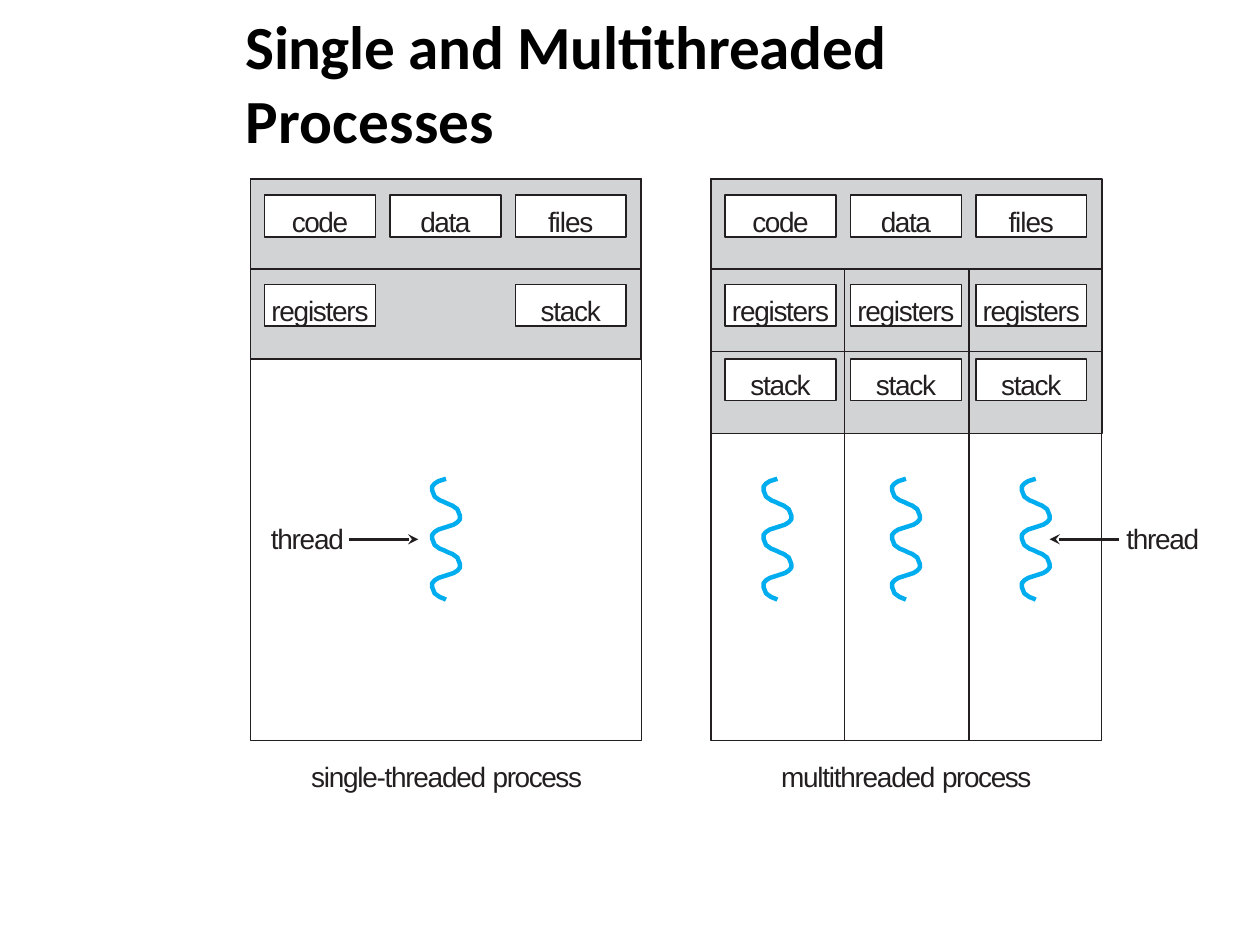
"""Build a slide comparing a single-threaded with a multithreaded process."""
import dataclasses
import typing

import lxml.etree
import pptx
import pptx.dml.color
import pptx.enum.shapes
import pptx.enum.text
import pptx.oxml.ns
import pptx.util

COLUMNS, ROWS = 100, 75
INK, GREY, WHITE, THREAD_BLUE = "231F20", "D1D3D4", "FFFFFF", "00AEEF"
PANEL_TOP, PANEL_WIDTH, PANEL_HEIGHT = 14.2, 31, 44.6
SHARED_BOTTOM, REGISTERS_BOTTOM = 21.35, 27.9
BOX_INSET, BOX_PITCH, BOX_WIDTH, BOX_HEIGHT = 1.1, 9.95, 8.8, 3.3
WAVE_TOP, WAVE_HEIGHT, SWINGS = 38, 9.6, 5
SWING_HEIGHT = WAVE_HEIGHT / SWINGS
SWING = [(0, 0), (0.6, 0.1), (0.9, 0.2), (1.1, 0.32), (1.1, 0.48),
         (0.9, 0.74), (0.5, 0.89), (0.2, 0.95), (0, 1)]
ARROW_ROW = 42.8


class Phrase(typing.NamedTuple):
    """A run of text and its letter spacing in points."""
    words: str
    spacing: float


class Box(typing.NamedTuple):
    """A labelled box at a position within a panel."""
    label: Phrase
    slot: int
    row: float


@dataclasses.dataclass
class Process:
    """A process panel with its boxes, dividers and threads."""
    left: float
    grey_bottom: float
    boxes: list[Box]
    thread_centres: list[float]
    row_dividers: list[float]
    column_dividers: list[float]


@dataclasses.dataclass
class Label:
    """Free text on the grid."""
    left: float
    top: float
    width: float
    height: float
    phrases: list[Phrase]
    indent: float = 0.1


@dataclasses.dataclass
class Pointer:
    """A horizontal arrow towards a thread."""
    start: float
    end: float


CODE, DATA, FILES = Phrase("code", -0.8), Phrase("data", -0.8), Phrase("files", -0.6)
REGISTERS, STACK, THREAD = (Phrase(word, -0.7) for word in ("registers", "stack", "thread"))
SHARED_BOXES = [Box(label, slot, 15.5) for slot, label in enumerate((CODE, DATA, FILES))]

PROCESSES = [
    Process(19.9, 28.5, SHARED_BOXES + [Box(REGISTERS, 0, 22.6), Box(STACK, 2, 22.6)],
            [35.4], [SHARED_BOTTOM], []),
    Process(56.45, 34.4,
            SHARED_BOXES + [Box(label, slot, row) for label, row in ((REGISTERS, 22.6), (STACK, 28.5))
                            for slot in range(3)],
            [61.7, 71.9, 82.2], [SHARED_BOTTOM, REGISTERS_BOTTOM], [67, 76.9]),
]
LABELS = [
    Label(21.5, 41.2, 5.8, 2.8, [THREAD], 0),
    Label(89.3, 41.2, 6, 2.8, [THREAD]),
    Label(24.6, 60.1, 21.7, 2.8, [Phrase("single-threaded", -0.7), Phrase(" process", -0.8)]),
    Label(61.9, 60.1, 20, 5.5, [Phrase("multithreaded ", -0.7), Phrase("process", -0.8)]),
]
POINTERS = [Pointer(27.7, 33.2), Pointer(88.8, 83.3)]
TITLE = [Phrase("Single ", -0.3), Phrase("and Multithreaded ", -0.1), Phrase("Processes", 0.1)]

presentation = pptx.Presentation()
presentation.slide_width = pptx.util.Inches(10)
presentation.slide_height = pptx.util.Inches(7.5)
slide = presentation.slides.add_slide(presentation.slide_layouts[5])


def across(columns: float) -> int:
    """Turn grid columns into a length."""
    return round(presentation.slide_width * columns / COLUMNS)


def down(rows: float) -> int:
    """Turn grid rows into a length."""
    return round(presentation.slide_height * rows / ROWS)


def colour(hex_code: str) -> pptx.dml.color.RGBColor:
    """Turn a hex string into a colour."""
    return pptx.dml.color.RGBColor.from_string(hex_code)


def set_line(line, hex_code: str, points: float) -> None:
    """Set the colour and width of a line."""
    line.color.rgb = colour(hex_code)
    line.width = pptx.util.Pt(points)


def write(frame, phrases: list[Phrase], size: float, font: str, hex_code: str,
          align, before: float, insets: tuple[float, float], bold: bool = False) -> None:
    """Write one paragraph run by run, with left and top insets on the grid."""
    frame.word_wrap = True
    frame.auto_size = pptx.enum.text.MSO_AUTO_SIZE.NONE
    frame.margin_left, frame.margin_top = across(insets[0]), down(insets[1])
    frame.margin_right = frame.margin_bottom = 0
    paragraph = frame.paragraphs[0]
    paragraph.alignment = align
    paragraph.space_before = pptx.util.Pt(before)
    for phrase in phrases:
        run = paragraph.add_run()
        run.text = phrase.words
        run.font.size, run.font.name, run.font.bold = pptx.util.Pt(size), font, bold
        run.font.color.rgb = colour(hex_code)
        run.font._element.set("spc", str(round(phrase.spacing * 100)))


def draw_rectangle(left: float, top: float, width: float, height: float,
                   fill: str | None, points: float):
    """Draw an outlined rectangle on the grid."""
    rectangle = slide.shapes.add_shape(
        pptx.enum.shapes.MSO_SHAPE.RECTANGLE, across(left), down(top), across(width), down(height))
    rectangle.shadow.inherit = False
    if fill:
        rectangle.fill.solid()
        rectangle.fill.fore_color.rgb = colour(fill)
    else:
        rectangle.fill.background()
    set_line(rectangle.line, INK, points)
    return rectangle


def draw_line(start: tuple[float, float], end: tuple[float, float], points: float):
    """Draw a straight line between two grid points."""
    connector = slide.shapes.add_connector(
        pptx.enum.shapes.MSO_CONNECTOR.STRAIGHT,
        across(start[0]), down(start[1]), across(end[0]), down(end[1]))
    set_line(connector.line, INK, points)
    lxml.etree.SubElement(connector._element.spPr, pptx.oxml.ns.qn("a:effectLst"))
    return connector


def draw_thread(centre: float) -> None:
    """Draw a wavy thread whose swings alternate left and right."""
    points = []
    for swing in range(SWINGS):
        to_right = swing % 2
        for offset, share in SWING:
            side, fall = (offset, 1 - share) if to_right else (-offset, share)
            points.append((across(centre + side), down(WAVE_TOP + (swing + fall) * SWING_HEIGHT)))
        if to_right:
            points[-len(SWING):] = points[:-len(SWING) - 1:-1]
    builder = slide.shapes.build_freeform(*points[0])
    builder.add_line_segments(points[1:], close=False)
    wave = builder.convert_to_shape()
    wave.shadow.inherit = False
    wave.fill.background()
    set_line(wave.line, THREAD_BLUE, 2.55)


def draw_process(process: Process) -> None:
    """Draw a process panel with everything inside it."""
    left, right, bottom = process.left, process.left + PANEL_WIDTH, PANEL_TOP + PANEL_HEIGHT
    draw_rectangle(left, PANEL_TOP, PANEL_WIDTH, process.grey_bottom - PANEL_TOP, GREY, 0.88)
    draw_rectangle(left, PANEL_TOP, PANEL_WIDTH, PANEL_HEIGHT, None, 0.82)
    for box in process.boxes:
        rectangle = draw_rectangle(left + BOX_INSET + box.slot * BOX_PITCH, box.row,
                                   BOX_WIDTH, BOX_HEIGHT, WHITE, 0.88)
        rectangle.text_frame.vertical_anchor = pptx.enum.text.MSO_ANCHOR.TOP
        write(rectangle.text_frame, [box.label], 16, "Arial", INK,
              pptx.enum.text.PP_ALIGN.CENTER, 4.7, (0, 0.7))
    for row in process.row_dividers:
        draw_line((left, row), (right, row), 0.9)
    for column in process.column_dividers:
        draw_line((column, SHARED_BOTTOM), (column, bottom), 0.79)
    for centre in process.thread_centres:
        draw_thread(centre)


def draw_pointer(pointer: Pointer) -> None:
    """Draw an arrow with a barbed head."""
    arrow = draw_line((pointer.start, ARROW_ROW), (pointer.end, ARROW_ROW), 1.81)
    lxml.etree.SubElement(arrow.line._get_or_add_ln(), pptx.oxml.ns.qn("a:tailEnd"), type="stealth")


def draw_label(label: Label) -> None:
    """Draw a label in a text box."""
    text_box = slide.shapes.add_textbox(
        across(label.left), down(label.top), across(label.width), down(label.height))
    write(text_box.text_frame, label.phrases, 16, "Arial", INK,
          pptx.enum.text.PP_ALIGN.LEFT, 1.2, (label.indent, 0.2))


def main() -> None:
    """Build and save the slide."""
    heading = slide.shapes.title
    heading.left, heading.top = across(19.4), down(0.1)
    heading.width, heading.height = across(69.4), down(12.7)
    heading.text_frame.vertical_anchor = pptx.enum.text.MSO_ANCHOR.MIDDLE
    write(heading.text_frame, TITLE, 35, "Calibri", "000000",
          pptx.enum.text.PP_ALIGN.LEFT, 1, (0.1, 0.1), bold=True)
    for process in PROCESSES:
        draw_process(process)
    for pointer in POINTERS:
        draw_pointer(pointer)
    for label in LABELS:
        draw_label(label)
    presentation.save("out.pptx")


if __name__ == "__main__":
    main()
